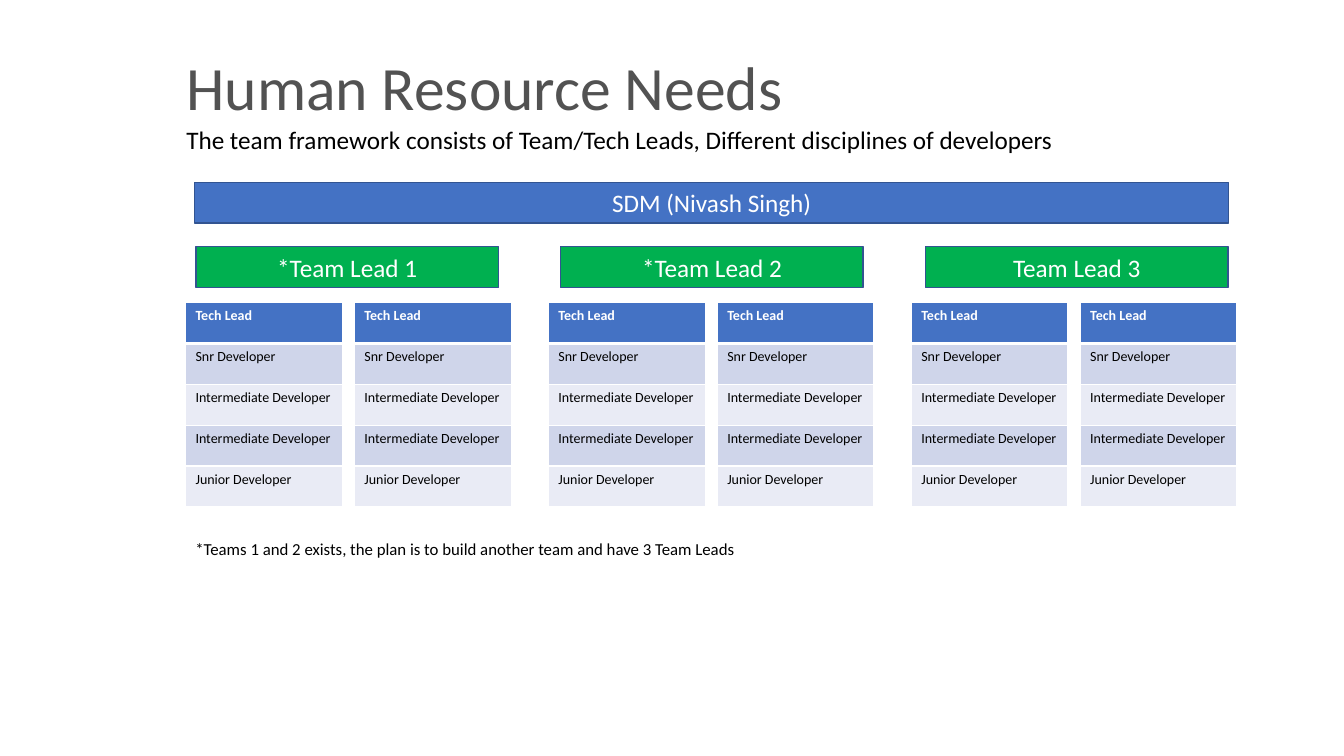
from pptx import Presentation
from pptx.dml.color import RGBColor
from pptx.enum.shapes import MSO_SHAPE as Shape
from pptx.enum.text import MSO_ANCHOR as Anchor, MSO_AUTO_SIZE as AutoSize, PP_ALIGN as Align
from pptx.oxml.ns import qn
from pptx.util import Pt
from lxml.etree import SubElement

FONT = "Calibri"
COLORS = {
    "title": "525252",
    "black": "000000",
    "white": "FFFFFF",
    "blue": "4472C4",
    "green": "00B050",
    "outline": "325491",
    "band_dark": "CFD5EA",
    "band_light": "E9EBF5",
}
TEAM_LEADS = ["*Team Lead 1", "*Team Lead 2", "Team Lead 3"]
ROLES = ["Tech Lead", "Snr Developer", "Intermediate Developer",
         "Intermediate Developer", "Junior Developer"]
TABLES_PER_TEAM = 2


def rgb(color):
    return RGBColor.from_string(COLORS[color])


def write(frame, text, size=18, color="black", bold=False, align=Align.LEFT,
          anchor=Anchor.TOP, spacing=None):
    frame.word_wrap = True
    frame.vertical_anchor = anchor
    paragraph = frame.paragraphs[0]
    paragraph.alignment = align
    if spacing:
        paragraph.line_spacing = spacing
    run = paragraph.add_run()
    run.text = text
    run.font.name = FONT
    run.font.size = Pt(size)
    run.font.bold = bold
    run.font.color.rgb = rgb(color)


def add_text(slide, box, text, grow=False, **style):
    frame = slide.shapes.add_textbox(*map(Pt, box)).text_frame
    write(frame, text, **style)
    frame.auto_size = AutoSize.SHAPE_TO_FIT_TEXT if grow else AutoSize.NONE


def add_bar(slide, box, text, fill):
    bar = slide.shapes.add_shape(Shape.RECTANGLE, *map(Pt, box))
    bar.shadow.inherit = False
    bar.fill.solid()
    bar.fill.fore_color.rgb = rgb(fill)
    bar.line.color.rgb = rgb("outline")
    bar.line.width = Pt(1)
    write(bar.text_frame, text, color="white", align=Align.CENTER, anchor=Anchor.MIDDLE)


def set_borders(cell, **widths):
    properties = cell._tc.get_or_add_tcPr()
    for side in ("L", "R", "T", "B"):
        border = SubElement(properties, qn(f"a:ln{side}"), w=str(Pt(widths.get(side, 1))))
        fill = SubElement(border, qn("a:solidFill"))
        SubElement(fill, qn("a:srgbClr"), val=COLORS["white"])


def add_roles(slide, box):
    roles = slide.shapes.add_table(len(ROLES), 1, *map(Pt, box)).table
    for index, role in enumerate(ROLES):
        roles.rows[index].height = Pt(box[3] / len(ROLES))
        cell = roles.cell(index, 0)
        header = index == 0
        set_borders(cell, T=3 if index == 1 else 1, B=3 if header else 1)
        band = "band_dark" if index % 2 else "band_light"
        cell.fill.solid()
        cell.fill.fore_color.rgb = rgb("blue" if header else band)
        write(cell.text_frame, role, size=10, bold=header,
              color="white" if header else "black")


def add_heading(slide, left, top):
    add_text(slide, (left, top, 790, 71.3), "Human Resource Needs", size=44,
             color="title", anchor=Anchor.MIDDLE, spacing=0.9)
    add_text(slide, (left, top + 56.2, 740, 29), grow=True,
             text="The team framework consists of Team/Tech Leads, "
                  "Different disciplines of developers")


def add_teams(slide, left, top):
    lead_pitch, team_pitch, table_pitch = 260.6, 259.2, 120.6
    add_bar(slide, (left + 6.5, top, 738.7, 29), "SDM (Nivash Singh)", "blue")
    for team, lead in enumerate(TEAM_LEADS):
        add_bar(slide, (left + 7.5 + team * lead_pitch, top + 46, 216, 29), lead, "green")
    for team in range(len(TEAM_LEADS)):
        for member in range(TABLES_PER_TEAM):
            table_left = left + team * team_pitch + member * table_pitch
            add_roles(slide, (table_left, top + 85.8, 112, 146))


def add_footnote(slide, left, top):
    add_text(slide, (left, top, 740, 21.8), size=12, grow=True,
             text="*Teams 1 and 2 exists, the plan is to build another team "
                  "and have 3 Team Leads")


def main():
    deck = Presentation()
    deck.slide_width, deck.slide_height = Pt(960), Pt(540)
    slide = deck.slides.add_slide(deck.slide_layouts[6])
    add_heading(slide, 126, 28.8)
    add_teams(slide, 132.5, 130.3)
    add_footnote(slide, 132.5, 381)
    deck.save("out.pptx")


if __name__ == "__main__":
    main()
